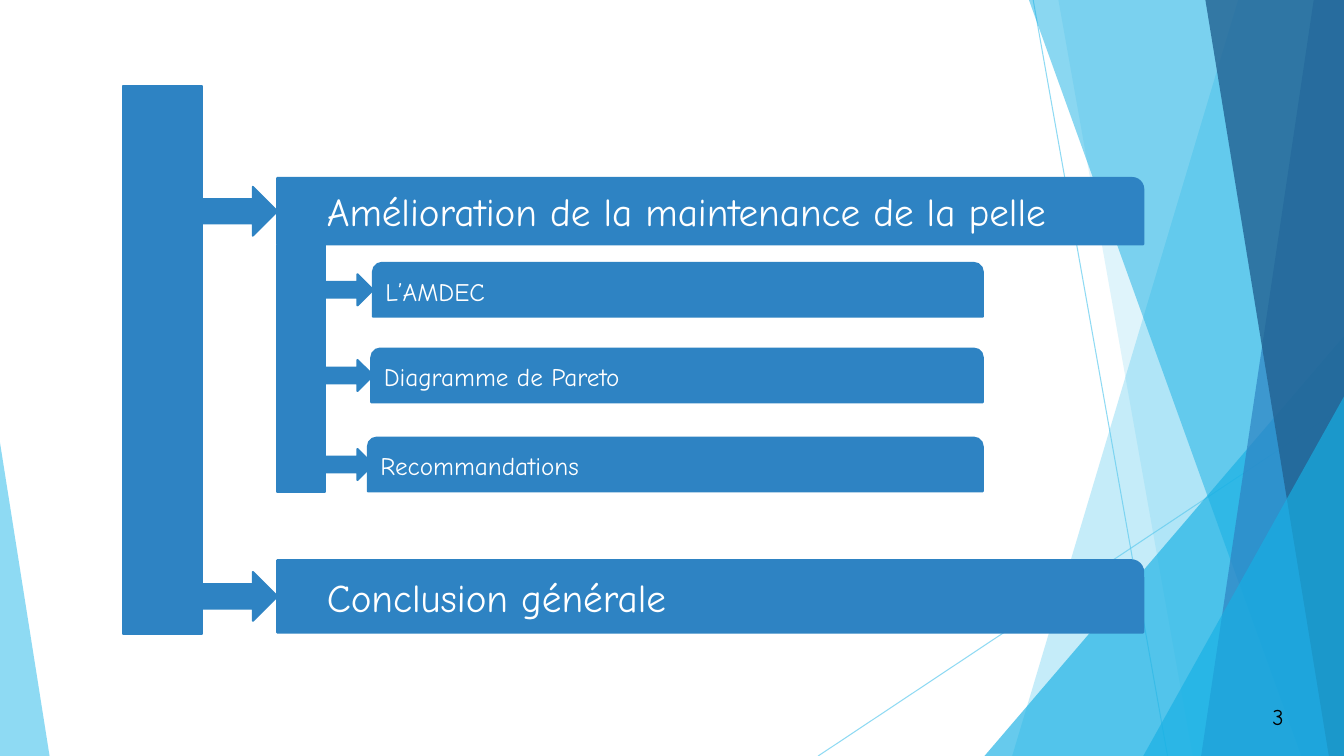
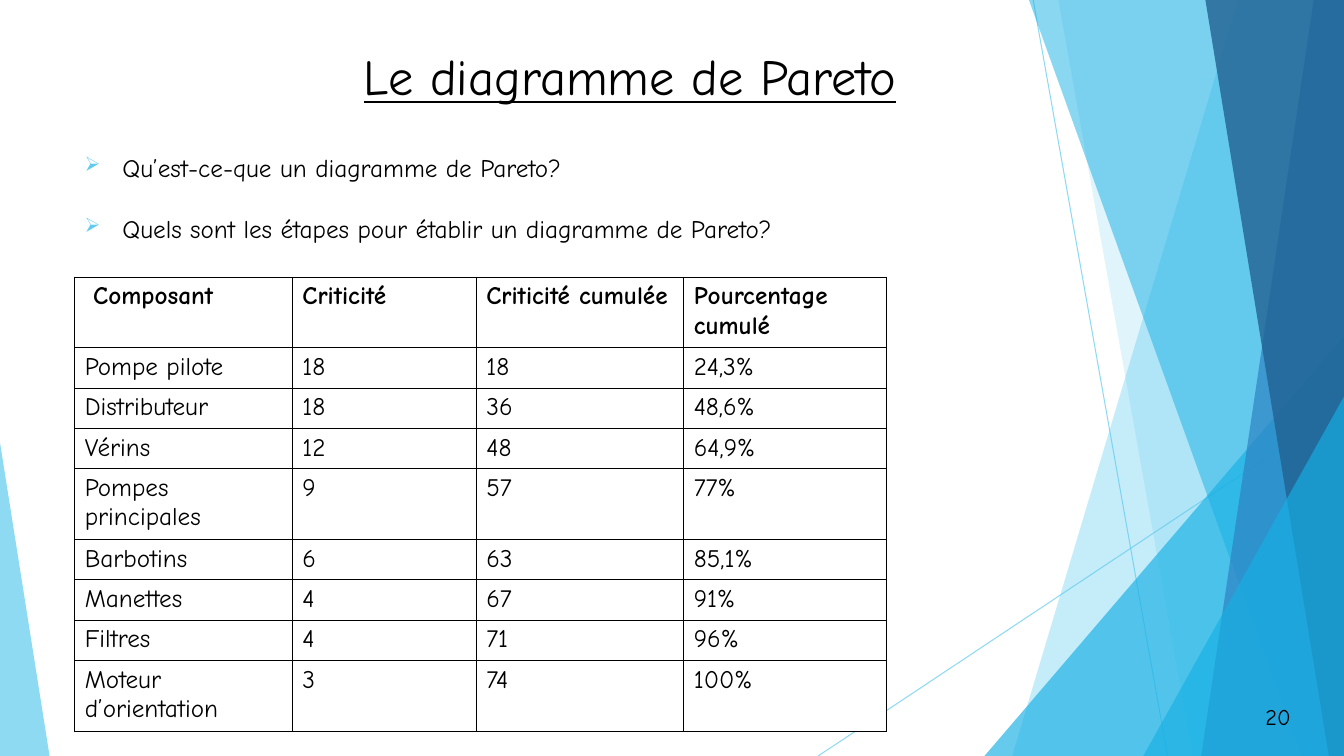
from dataclasses import dataclass

from lxml.etree import SubElement
from pptx import Presentation
from pptx.dml.color import RGBColor
from pptx.enum.shapes import MSO_CONNECTOR, MSO_SHAPE
from pptx.enum.text import MSO_ANCHOR, MSO_AUTO_SIZE, PP_ALIGN
from pptx.oxml.ns import qn
from pptx.util import Emu, Pt

CELL = 76200
COLUMNS, ROWS = 160, 90


@dataclass(frozen=True)
class Theme:
    font: str = "Comic Neue"
    black: str = "000000"
    white: str = "FFFFFF"
    sky: str = "5FCBEF"
    cyan: str = "17B0E4"
    blue: str = "2E83C3"
    navy: str = "226292"
    title: int = 36
    heading: int = 28
    body: int = 18
    number: int = 16
    outline: float = 1.5
    hairline: float = 0.75
    border: int = 1


THEME = Theme()


def grid(*cells):
    return [Emu(round(cell * CELL)) for cell in cells]


def rgb(color):
    return RGBColor.from_string(color)


def set_alpha(item, percent):
    for color in item.element.xpath(".//a:solidFill/a:srgbClr"):
        SubElement(color, qn("a:alpha")).set("val", str(percent * 1000))


def style_para(para, size, color=THEME.black, bold=False, underline=False):
    for span in para.runs:
        span.font.name = THEME.font
        span.font.size = Pt(size)
        span.font.color.rgb = rgb(color)
        span.font.bold = bold
        span.font.underline = underline


def paint(shape, color, alpha=None):
    shape.shadow.inherit = False
    shape.fill.solid()
    shape.fill.fore_color.rgb = rgb(color)
    if alpha is None:
        shape.line.color.rgb = rgb(color)
        shape.line.width = Pt(THEME.outline)
    else:
        shape.line.fill.background()
        set_alpha(shape, alpha)
    return shape


def add_block(page, kind, left, top, width, height):
    return paint(page.shapes.add_shape(kind, *grid(left, top, width, height)), THEME.blue)


def add_ray(page, start, end):
    ray = page.shapes.add_connector(MSO_CONNECTOR.STRAIGHT, *grid(*start, *end))
    ray.line.color.rgb = rgb(THEME.sky)
    ray.line.width = Pt(THEME.hairline)
    SubElement(ray.element.spPr, qn("a:effectLst"))
    set_alpha(ray, 70)


def add_facet(page, top_column, bottom_column, color, alpha):
    builder = page.shapes.build_freeform(*grid(top_column, 0))
    corners = [(COLUMNS, 0), (COLUMNS, ROWS), (bottom_column, ROWS)]
    builder.add_line_segments([grid(*corner) for corner in corners], close=True)
    paint(builder.convert_to_shape(), color, alpha)


def add_corner(page, left, top, width, apex, color, alpha):
    box = grid(left, top, width, ROWS - top)
    corner = page.shapes.add_shape(MSO_SHAPE.ISOSCELES_TRIANGLE, *box)
    corner.adjustments[0] = apex
    paint(corner, color, alpha)


def move_to_master(deck, page):
    target = deck.slide_master.shapes.element
    for number, shape in enumerate(list(page.shapes), start=100):
        shape.element.xpath(".//p:cNvPr")[0].set("id", str(number))
        target.append(shape.element)


def draw_background(deck, page):
    add_ray(page, (123, 0), (139, ROWS))
    add_ray(page, (COLUMNS, 48.4), (97.4, ROWS))
    add_facet(page, 147.4, 120.5, THEME.sky, 36)
    add_facet(page, 126, 142, THEME.sky, 20)
    add_corner(page, 117.2, 40, 42.8, 1, THEME.cyan, 66)
    add_facet(page, 122.5, 154.9, THEME.cyan, 50)
    add_facet(page, 156.4, 143, THEME.blue, 70)
    add_facet(page, 143.5, 158.2, THEME.navy, 80)
    add_corner(page, 136.1, 47.2, 23.9, 1, THEME.cyan, 66)
    add_corner(page, 0, 52.7, 5.9, 0, THEME.sky, 70)
    move_to_master(deck, page)


def add_page_number(page, number):
    box = page.shapes.add_textbox(*grid(147.4, 82.9, 9.5, 4.8))
    frame = box.text_frame
    frame.text = str(number)
    frame.word_wrap = True
    frame.vertical_anchor = MSO_ANCHOR.MIDDLE
    para = frame.paragraphs[0]
    para.alignment = PP_ALIGN.CENTER
    style_para(para, THEME.number)


def add_arrow(page, left, middle, width, height):
    add_block(page, MSO_SHAPE.RIGHT_ARROW, left, middle - height / 2, width, height)


def add_bar(page, kind, text, box, size, indent=1.2):
    bar = add_block(page, kind, *box)
    frame = bar.text_frame
    frame.text = text
    frame.word_wrap = True
    frame.margin_left = grid(indent)[0]
    frame.vertical_anchor = MSO_ANCHOR.MIDDLE
    para = frame.paragraphs[0]
    para.alignment = PP_ALIGN.LEFT
    style_para(para, size, THEME.white)


def add_section(page, text, top, height):
    box = (33, top, 103.1, height)
    add_bar(page, MSO_SHAPE.ROUND_1_RECTANGLE, text, box, THEME.heading, indent=5.9)
    add_arrow(page, 24.2, top + height / 2, 8.8, 5.8)


def add_topic(page, text, left, top):
    height = 6.4
    box = (left, top, 117 - left, height)
    add_bar(page, MSO_SHAPE.ROUND_2_SAME_RECTANGLE, text, box, THEME.body)
    add_arrow(page, 38.7, top + height / 2, 5.7, 3.7)


def add_title(page, text):
    title = page.shapes.title
    title.left, title.top, title.width, title.height = grid(42.1, 4.8, 71.3, 10.6)
    frame = title.text_frame
    frame.text = text
    frame.auto_size = MSO_AUTO_SIZE.NONE
    frame.vertical_anchor = MSO_ANCHOR.TOP
    para = frame.paragraphs[0]
    para.alignment = PP_ALIGN.LEFT
    style_para(para, THEME.title, underline=True)


def add_bullet(para):
    properties = para._p.get_or_add_pPr()
    hang = grid(4.5)[0]
    properties.set("marL", str(hang))
    properties.set("indent", str(-hang))
    color = SubElement(properties, qn("a:buClr"))
    SubElement(color, qn("a:srgbClr")).set("val", THEME.sky)
    SubElement(properties, qn("a:buSzPct")).set("val", "80000")
    SubElement(properties, qn("a:buChar")).set("char", "➢")


def add_questions(page, questions):
    frame = page.shapes.add_textbox(*grid(8.9, 17.5, 115, 12.6)).text_frame
    frame.word_wrap = True
    frame.text = "\n".join(questions)
    for index, para in enumerate(frame.paragraphs):
        style_para(para, THEME.body)
        add_bullet(para)
        para.space_before = Pt(22 if index else 0)


def add_borders(cell):
    properties = cell._tc.get_or_add_tcPr()
    for index, side in enumerate(("a:lnL", "a:lnR", "a:lnT", "a:lnB")):
        line = properties.makeelement(qn(side), {"w": str(Pt(THEME.border))})
        fill = SubElement(line, qn("a:solidFill"))
        SubElement(fill, qn("a:srgbClr")).set("val", THEME.black)
        properties.insert(index, line)


def fill_cell(cell, text, bold):
    cell.text = text
    cell.fill.solid()
    cell.fill.fore_color.rgb = rgb(THEME.white)
    add_borders(cell)
    style_para(cell.text_frame.paragraphs[0], THEME.body, bold=bold)


def add_data_table(page, rows, widths, heights):
    box = grid(8.9, 33, sum(widths), sum(heights))
    table = page.shapes.add_table(len(rows), len(widths), *box).table
    table.first_row = table.horz_banding = False
    for column, width in zip(table.columns, grid(*widths)):
        column.width = width
    for row, height in zip(table.rows, grid(*heights)):
        row.height = height
    for row_index, values in enumerate(rows):
        for column_index, value in enumerate(values):
            fill_cell(table.cell(row_index, column_index), value, bold=row_index == 0)
    table.cell(0, 0).margin_left = grid(2.2)[0]


def build_outline(page):
    add_section(page, "Amélioration de la maintenance de la pelle", 21.2, 7.9)
    add_section(page, "Conclusion générale", 66.7, 8.6)
    add_topic(page, "L’AMDEC", 44.4, 31.3)
    add_topic(page, "Diagramme de Pareto", 44.2, 41.5)
    add_topic(page, "Recommandations", 43.8, 52.1)
    add_block(page, MSO_SHAPE.RECTANGLE, 14.6, 10.2, 9.5, 65.3)
    add_block(page, MSO_SHAPE.RECTANGLE, 33, 29.2, 5.7, 29.4)
    add_page_number(page, 3)


def build_pareto(page):
    add_title(page, "Le diagramme de Pareto")
    add_questions(page, [
        "Qu’est-ce-que un diagramme de Pareto?",
        "Quels sont les étapes pour établir un diagramme de Pareto?",
    ])
    rows = [
        ("Composant", "Criticité", "Criticité cumulée", "Pourcentage cumulé"),
        ("Pompe pilote", "18", "18", "24,3%"),
        ("Distributeur", "18", "36", "48,6%"),
        ("Vérins", "12", "48", "64,9%"),
        ("Pompes principales", "9", "57", "77%"),
        ("Barbotins", "6", "63", "85,1%"),
        ("Manettes", "4", "67", "91%"),
        ("Filtres", "4", "71", "96%"),
        ("Moteur d’orientation", "3", "74", "100%"),
    ]
    two_line_rows = (0, 4, 8)
    heights = [8.14 if index in two_line_rows else 4.64 for index in range(len(rows))]
    add_data_table(page, rows, (25.9, 21.9, 24.7, 24.1), heights)
    add_page_number(page, 20)


def main():
    deck = Presentation()
    deck.slide_width, deck.slide_height = grid(COLUMNS, ROWS)
    title_only, blank = deck.slide_layouts[5], deck.slide_layouts[6]
    outline = deck.slides.add_slide(blank)
    draw_background(deck, outline)
    build_outline(outline)
    build_pareto(deck.slides.add_slide(title_only))
    deck.save("out.pptx")


if __name__ == "__main__":
    main()
